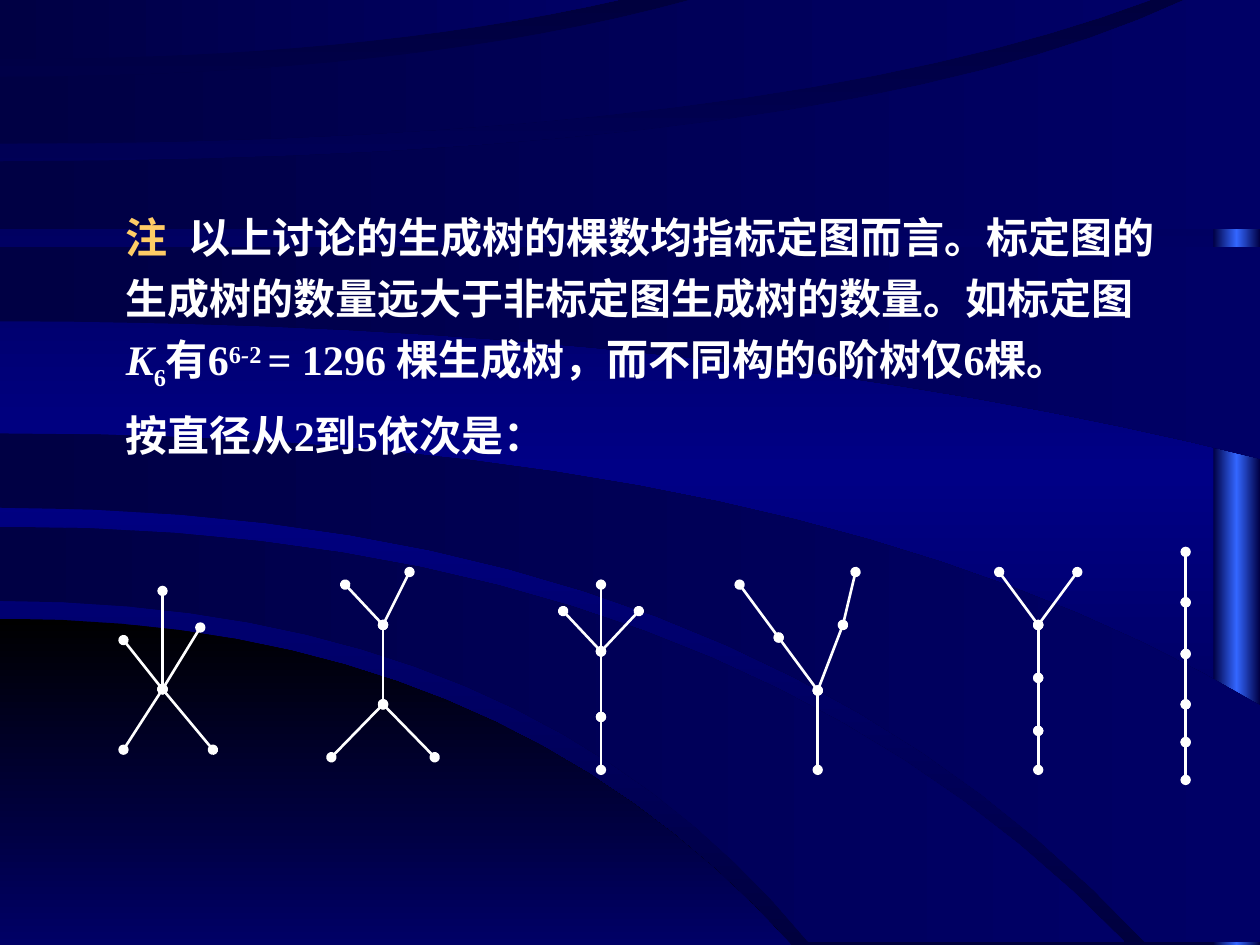
from copy import deepcopy

from pptx import Presentation
from pptx.dml.color import RGBColor
from pptx.enum.shapes import MSO_CONNECTOR as Link, MSO_SHAPE as Kind
from pptx.enum.text import MSO_AUTO_SIZE as Fit
from pptx.oxml.ns import qn
from pptx.oxml.xmlchemy import OxmlElement as Elem
from pptx.util import Cm, Pt

WHITE, GOLD = "FFFFFF", "FFCC66"
NAVY, BLUE = "000044", "000066"
WIDE, HIGH = 10, 7.5
STEPS = 16


def unit(size):
    """Turn slide units of 2.54 cm into a length."""
    return Cm(size * 2.54)


def color(code):
    return RGBColor.from_string(code)


def shade(elem, fill, codes, angle=0):
    """Give fill evenly spaced gradient stops; angle is counter-clockwise."""
    fill.gradient()
    stops = next(elem.iter(qn("a:gsLst")))
    while len(stops) < len(codes):
        stops.append(deepcopy(stops[0]))
    for i, (stop, code) in enumerate(zip(fill.gradient_stops, codes)):
        stop.position = i / (len(codes) - 1)
        stop.color.rgb = color(code)
    fill.gradient_angle = angle


def arc(level, bend, x, y):
    """Curve from the left edge, level at first, pulled at bend, to (x, y)."""
    spots = []
    for i in range(STEPS + 1):
        t = i / STEPS
        spots.append((2 * t * (1 - t) * bend + t * t * x,
                      level + t * t * (y - level)))
    return spots


def flat(y, x):
    """Straight edge from the left side to x."""
    return [(0, y), (x, y)]


def stem(x, *levels):
    return [(x, y) for y in levels]


def vee(x, y, across, rise):
    """Two even branches that meet at (x, y)."""
    return [(x - across, y - rise), (x, y), (x + across, y - rise)]


class Deck:
    font, size, width = "Times New Roman", Pt(24), Pt(1.5)

    def __init__(self):
        self.file = Presentation()
        self.file.slide_width, self.file.slide_height = unit(WIDE), unit(HIGH)
        self.slide = self.file.slides.add_slide(self.file.slide_layouts[6])

    def back(self, codes, angle):
        shade(self.slide.element, self.slide.background.fill, codes, angle)

    def finish(self, shape, codes, angle):
        """Apply the look that all filled shapes share."""
        shape.shadow.inherit = False
        shape.line.fill.background()
        shade(shape.element, shape.fill, codes, angle)

    def bar(self, left, top, width, height, codes):
        box = map(unit, (left, top, width, height))
        self.finish(self.slide.shapes.add_shape(Kind.RECTANGLE, *box), codes, 0)

    def band(self, upper, lower, corner=(), codes=(NAVY, BLUE), angle=0):
        """Fill the space between two edges, by way of any corner."""
        spots = [(unit(x), unit(y)) for x, y in [*upper, *corner, *lower[::-1]]]
        free = self.slide.shapes.build_freeform(*spots[0])
        free.add_line_segments(spots[1:], close=True)
        self.finish(free.convert_to_shape(), codes, angle)

    def text(self, left, top, width, height, runs, space=None, tab=None):
        """Add a paragraph of (text, colour, italic, baseline) runs."""
        box = self.slide.shapes.add_textbox(*map(unit, (left, top, width, height)))
        frame = box.text_frame
        frame.word_wrap = True
        frame.auto_size = Fit.SHAPE_TO_FIT_TEXT
        para = frame.paragraphs[0]
        para.line_spacing = space
        if tab:
            tabs, stop = Elem("a:tabLst"), Elem("a:tab")
            stop.set("pos", str(unit(tab)))
            stop.set("algn", "l")
            tabs.append(stop)
            para._p.get_or_add_pPr().append(tabs)
        for words, code, slant, base in runs:
            run = para.add_run()
            run.text = words
            font = run.font
            font.name, font.size, font.bold = self.font, self.size, True
            font.italic = slant
            font.color.rgb = color(code)
            if base:
                run._r.get_or_add_rPr().set("baseline", str(base * 1000))

    def edge(self, group, start, end):
        spots = map(unit, (*start, *end))
        link = group.shapes.add_connector(Link.STRAIGHT, *spots)
        link.line.width = self.width
        link.line.fill.solid()
        link.line.fill.fore_color.rgb = color(WHITE)
        props = link.element.spPr
        for name in ("a:headEnd", "a:tailEnd"):
            dot = Elem(name)
            dot.set("type", "oval")
            props.find(qn("a:ln")).append(dot)
        props.append(Elem("a:effectLst"))

    def tree(self, *chains):
        """Draw a tree as chains of nodes that share some nodes."""
        group = self.slide.shapes.add_group_shape()
        for chain in chains:
            for start, end in zip(chain, chain[1:]):
                self.edge(group, start, end)


NOTE = [
    ("注", GOLD, False, 0),
    ("\t以上讨论的生成树的棵数均指标定图而言。标定图的生成树的数量远大于"
     "非标定图生成树的数量。如标定图", WHITE, False, 0),
    ("K", WHITE, True, 0), ("6", WHITE, False, -25), ("有6", WHITE, False, 0),
    ("6", WHITE, False, 30), ("-", WHITE, True, 30), ("2 ", WHITE, False, 30),
    ("= 1296 棵生成树，而不同构的6阶树仅6棵。", WHITE, False, 0)]

deck = Deck()
deck.back(["00003E", "000086", "00003E"], 270)
deck.bar(9.63, 0, 0.37, HIGH, [NAVY, "3366FF", NAVY])

deck.band(arc(4.91, 3.95, 6.28, HIGH), flat(HIGH, 6.28),
          codes=("000000", BLUE), angle=270)
deck.band(arc(4.18, 5.75, 8.93, 7.48), arc(4.77, 4.19, 6.42, 7.48))
deck.band(arc(3.44, 6.4, WIDE, 5.6), arc(4.03, 5.88, 9.09, 7.48),
          [(WIDE, 7.48)])
deck.band(flat(1.96, WIDE), arc(2.55, 5.66, WIDE, 3.64))
deck.band(arc(1.28, 6.66, 9.4, 0), flat(1.82, WIDE), [(WIDE, 0)])
deck.band(arc(0.61, 3.26, 5.48, 0), arc(1.14, 6.1, 9.13, 0))
deck.band(flat(0, 4.91), arc(0.47, 2.85, 4.91, 0))

deck.text(0.9, 1.55, 8.37, 1.61, NOTE, space=1.2, tab=0.5)
deck.text(0.9, 3.2, 4.47, 0.5, [("按直径从2到5依次是：", WHITE, False, 0)])

hub, root = (1.29, 5.47), (6.49, 5.48)
deck.tree(stem(1.29, 4.69, 5.47), [(0.98, 5.08), hub, (1.69, 5.95)],
          [(1.59, 4.98), hub, (0.98, 5.95)])
deck.tree([(2.74, 4.64), (3.04, 4.96), (3.25, 4.54)], stem(3.04, 4.96, 5.59),
          vee(3.04, 5.59, 0.41, -0.42))
deck.tree(stem(4.77, 4.64, 5.17, 5.69, 6.11), vee(4.77, 5.17, 0.3, 0.32))
deck.tree([(5.87, 4.64), (6.18, 5.06), root, (6.69, 4.96), (6.79, 4.54)],
          [root, (6.49, 6.11)])
deck.tree(vee(8.24, 4.96, 0.31, 0.42), stem(8.24, 4.96, 5.38, 5.8, 6.11))
deck.tree(stem(9.41, 4.38, 4.78, 5.19, 5.59, 5.89, 6.19))
deck.file.save("out.pptx")
